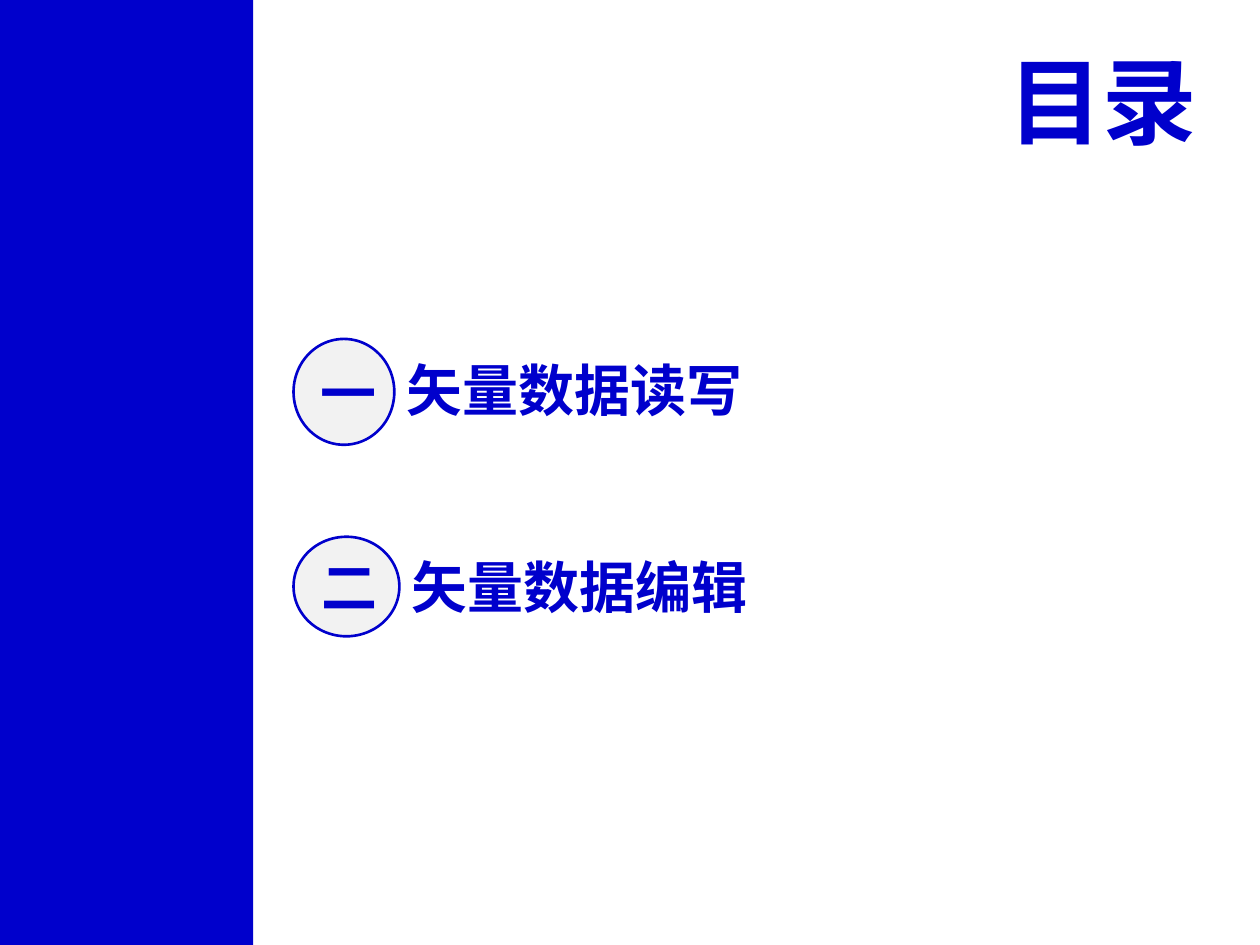
from lxml.etree import SubElement
from pptx import Presentation
from pptx.dml.color import RGBColor
from pptx.enum.shapes import MSO_SHAPE as SHAPE
from pptx.enum.text import MSO_ANCHOR as ANCHOR, MSO_AUTO_SIZE as AUTO, PP_ALIGN as ALIGN
from pptx.oxml.ns import qn
from pptx.util import Inches, Pt

COLORS = {"blue": "0000CC", "badge": "F2F2F2"}
CJK_FONT = "Noto Sans CJK SC"
LEFT = 2.33

# number, text, top, badge width, badge height, text offset, text width
ITEMS = [
    ("一", "矢量数据读写", 2.69, 0.8, 0.84, 0.08, 6.47),
    ("二", "矢量数据编辑", 4.26, 0.84, 0.79, 0.07, 6.52),
]


def color(name):
    return RGBColor.from_string(COLORS[name])


def write(tf, text, size, font, align, anchor):
    """Put one bold blue line into a text frame."""
    tf.vertical_anchor = anchor
    p = tf.paragraphs[0]
    p.alignment = align
    r = p.add_run()
    r.text = text
    r.font.size = Pt(size)
    r.font.bold = True
    r.font.name = font
    r.font.color.rgb = color("blue")
    SubElement(r.font._element, qn("a:ea")).set("typeface", CJK_FONT)


def add_filled(shapes, kind, box, fill):
    sp = shapes.add_shape(kind, *map(Inches, box))
    sp.shadow.inherit = False
    sp.fill.solid()
    sp.fill.fore_color.rgb = color(fill)
    sp.line.fill.background()
    return sp


def add_title(slide, text):
    sp = slide.shapes.title
    sp.left, sp.top, sp.width, sp.height = map(Inches, (7.84, 0.29, 1.76, 1.01))
    tf = sp.text_frame
    tf.word_wrap = False
    tf.auto_size = AUTO.SHAPE_TO_FIT_TEXT
    write(tf, text, 54, "Arial", ALIGN.RIGHT, ANCHOR.TOP)


def add_item(slide, number, text, top, width, height, offset, text_width):
    """Add a numbered badge and its heading as one group."""
    shapes = slide.shapes.add_group_shape().shapes
    badge = add_filled(shapes, SHAPE.OVAL, (LEFT, top, width, height), "badge")
    badge.line.color.rgb = color("blue")
    badge.line.width = Pt(1.5)
    write(badge.text_frame, number, 32, CJK_FONT, ALIGN.CENTER, ANCHOR.MIDDLE)

    box = (LEFT + width, top + offset, text_width, 0.64)
    tf = shapes.add_textbox(*map(Inches, box)).text_frame
    tf.word_wrap = True
    tf.auto_size = AUTO.SHAPE_TO_FIT_TEXT
    write(tf, text, 32, "Arial", ALIGN.LEFT, ANCHOR.MIDDLE)


def main():
    prs = Presentation()
    prs.slide_width, prs.slide_height = Inches(10), Inches(7.5)
    slide = prs.slides.add_slide(prs.slide_layouts[5])
    add_filled(slide.shapes, SHAPE.RECTANGLE, (0, 0, 2.01, 7.5), "blue")
    add_title(slide, "目录")
    for item in ITEMS:
        add_item(slide, *item)
    prs.save("out.pptx")


if __name__ == "__main__":
    main()
